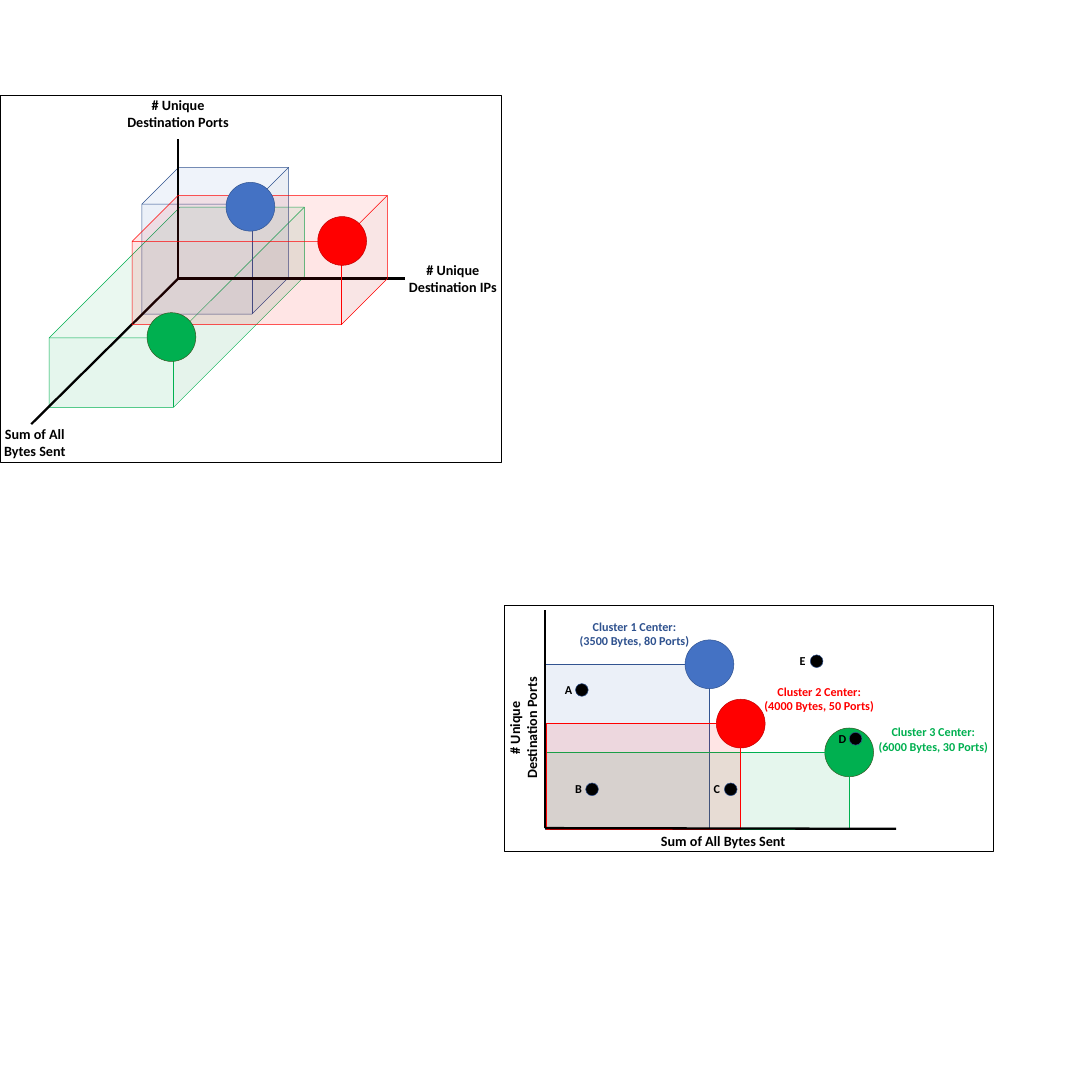
from pptx import Presentation
from pptx.dml.color import RGBColor
from pptx.enum.shapes import MSO_CONNECTOR, MSO_SHAPE
from pptx.enum.text import MSO_AUTO_SIZE, PP_ALIGN
from pptx.oxml.ns import qn
from pptx.util import Inches, Pt
from lxml.etree import SubElement

BLACK, WHITE = "000000", "FFFFFF"
BLUE, NAVY, EDGE = "4472C4", "2F528F", "325491"
RED, WINE = "FF0000", "C00000"
GREEN, MOSS = "00B050", "385723"
BALL, DOT = 1.34, 0.35


def paint(color, value):
    color.rgb = RGBColor.from_string(value)


def add_form(group, kind, box, fill, line, alpha=None, depth=None):
    shape = group.shapes.add_shape(kind, *map(Inches, box))
    shape.shadow.inherit = False
    shape.fill.solid()
    paint(shape.fill.fore_color, fill)
    paint(shape.line.color, line)
    shape.line.width = Pt(1)
    if alpha:
        tint = shape.fill._xPr.find(qn("a:solidFill"))[0]
        SubElement(tint, qn("a:alpha"), val=str(alpha * 1000))
    if depth:
        shape.adjustments[0] = depth
    return shape


def add_ball(group, left, top, fill, line, size=BALL):
    add_form(group, MSO_SHAPE.OVAL, (left, top, size, size), fill, line)


def add_glass(group, kind, box, fill, line, depth=None):
    add_form(group, kind, box, fill, line, alpha=10, depth=depth)


def add_axis(group, start, end):
    axis = group.shapes.add_connector(
        MSO_CONNECTOR.STRAIGHT, *map(Inches, start + end))
    paint(axis.line.color, BLACK)
    axis.line.width = Pt(4.5)
    SubElement(axis._element.spPr, qn("a:effectLst"))


def add_text(group, text, box, size=28, color=BLACK, align=PP_ALIGN.CENTER,
             wrap=False, turn=0):
    label = group.shapes.add_textbox(*map(Inches, box))
    label.rotation = turn
    frame = label.text_frame
    frame.word_wrap = wrap
    frame.auto_size = MSO_AUTO_SIZE.SHAPE_TO_FIT_TEXT
    para = frame.paragraphs[0]
    para.text = text
    para.alignment = align
    for run in para.runs:
        run.font.name = "Calibri"
        run.font.size = Pt(size)
        run.font.bold = True
        paint(run.font.color, color)


def add_point(group, name, left, top, width):
    add_ball(group, left, top, BLACK, EDGE, size=DOT)
    add_text(group, name, (left - 0.39, top - 0.08, width, 0.5), size=24,
             align=PP_ALIGN.LEFT)


def draw_plane(group):
    add_form(group, MSO_SHAPE.RECTANGLE, (13.85, 16.64, 13.45, 6.75),
             WHITE, BLACK)
    add_ball(group, 22.66, 20, GREEN, MOSS)
    add_ball(group, 19.68, 19.21, RED, WINE)
    for box, fill, line in [
        ((14.97, 18.25, 4.52, 4.52), BLUE, EDGE),
        ((15, 20.67, 8.33, 2.1), GREEN, GREEN),
        ((15, 19.88, 5.35, 2.9), RED, RED),
    ]:
        add_glass(group, MSO_SHAPE.RECTANGLE, box, fill, line)
    add_ball(group, 18.82, 17.58, BLUE, EDGE)

    zero = (14.97, 22.75)
    add_axis(group, (14.97, 16.77), zero)
    add_axis(group, zero, (24.62, 22.77))
    for point in [
        ("A", 15.81, 18.78, 0.41),
        ("B", 16.09, 21.51, 0.41),
        ("C", 19.9, 21.51, 0.38),
        ("D", 23.33, 20.12, 0.41),
        ("E", 22.26, 17.99, 0.37),
    ]:
        add_point(group, *point)

    add_text(group, "Sum of All Bytes Sent", (18.06, 22.82, 3.66, 0.57),
             align=PP_ALIGN.LEFT)
    add_text(group, "# Unique\nDestination Ports", (12.86, 19.48, 3.02, 1.04),
             turn=270)
    for text, left, top, width, color in [
        ("Cluster 1 Center: (3500 Bytes, 80 Ports)", 15.81, 16.96, 3.24, NAVY),
        ("Cluster 2 Center: (4000 Bytes, 50 Ports)", 20.86, 18.75, 3.29, RED),
        ("Cluster 3 Center:\n(6000 Bytes, 30 Ports)", 23.99, 19.86, 3.3, GREEN),
    ]:
        add_text(group, text, (left, top, width, 0.91), size=24, color=color,
                 wrap=True)


def draw_space(group):
    add_form(group, MSO_SHAPE.RECTANGLE, (0, 2.61, 13.77, 10.08), WHITE, BLACK)
    add_glass(group, MSO_SHAPE.CUBE, (1.35, 5.69, 7.01, 5.5), GREEN, GREEN,
              depth=0.653)
    add_glass(group, MSO_SHAPE.CUBE, (3.9, 4.6, 4.03, 4.03), BLUE, NAVY)
    zero = (4.9, 7.65)
    for end in [(4.9, 3.81), (0.86, 11.65), (11.12, 7.65)]:
        add_axis(group, zero, end)
    add_glass(group, MSO_SHAPE.CUBE, (3.63, 5.37, 7.01, 3.55), RED, RED,
              depth=0.356)
    add_ball(group, 6.21, 5.01, BLUE, EDGE)
    add_ball(group, 8.73, 5.95, RED, WINE)
    add_ball(group, 4.04, 8.59, GREEN, MOSS)
    for text, left, top, width in [
        ("# Unique\nDestination Ports", 3.38, 2.61, 3.02),
        ("Sum of All\nBytes Sent", 0, 11.65, 1.91),
        ("# Unique\nDestination IPs", 11.12, 7.14, 2.64),
    ]:
        add_text(group, text, (left, top, width, 1.04))


def main():
    deck = Presentation()
    deck.slide_width = deck.slide_height = Inches(30)
    slide = deck.slides.add_slide(deck.slide_layouts[6])
    draw_plane(slide.shapes.add_group_shape())
    draw_space(slide.shapes.add_group_shape())
    deck.save("out.pptx")


main()
